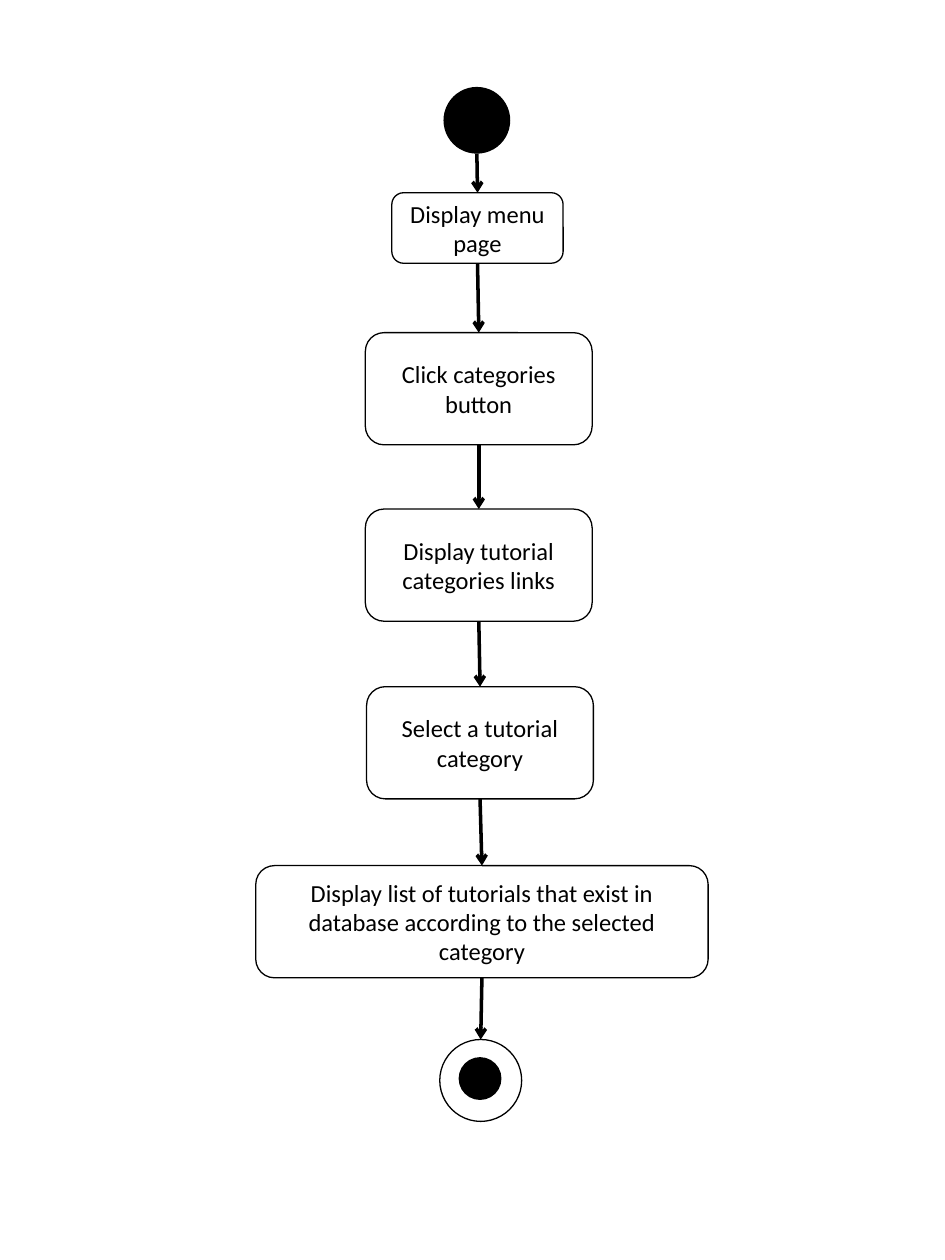
from lxml.etree import SubElement
from pptx import Presentation
from pptx.dml.color import RGBColor
from pptx.enum.shapes import MSO_CONNECTOR, MSO_SHAPE
from pptx.enum.text import MSO_ANCHOR, PP_ALIGN
from pptx.oxml.ns import qn
from pptx.util import Inches, Pt

BLACK = RGBColor(0x00, 0x00, 0x00)
WHITE = RGBColor(0xFF, 0xFF, 0xFF)
FONT = "Calibri"

# Content: activity text, left, top, width, height
STEPS = [
    ("Display menu page", 3.11, 1.53, 1.36, 0.56),
    ("Click categories button", 2.9, 2.64, 1.8, 0.89),
    ("Display tutorial categories links", 2.9, 4.04, 1.8, 0.89),
    ("Select a tutorial category", 2.91, 5.45, 1.8, 0.89),
    ("Display list of tutorials that exist in database according to the "
     "selected category", 2.03, 6.87, 3.59, 0.89),
]
# Circles: left, top, diameter
START = (3.52, 0.69, 0.53)
END_RING = (3.49, 8.25, 0.65)
END_DOT = (3.64, 8.39, 0.34)


def add_node(s, kind, left, top, width, height, fill, outlined):
    sp = s.shapes.add_shape(kind, Inches(left), Inches(top),
                            Inches(width), Inches(height))
    sp.shadow.inherit = False
    sp.fill.solid()
    sp.fill.fore_color.rgb = fill
    if outlined:
        sp.line.color.rgb = BLACK
        sp.line.width = Pt(0.75)
    else:
        sp.line.fill.background()
    return sp


def add_circle(s, left, top, size, fill, outlined=False):
    return add_node(s, MSO_SHAPE.OVAL, left, top, size, size, fill, outlined)


def add_step(s, text, left, top, width, height):
    sp = add_node(s, MSO_SHAPE.ROUNDED_RECTANGLE, left, top, width, height,
                  WHITE, True)
    tf = sp.text_frame
    tf.word_wrap = True
    tf.vertical_anchor = MSO_ANCHOR.MIDDLE
    p = tf.paragraphs[0]
    p.alignment = PP_ALIGN.CENTER
    r = p.add_run()
    r.text = text
    r.font.name = FONT
    r.font.size = Pt(14)
    r.font.color.rgb = BLACK
    return sp


def add_arrow(s, upper, lower):
    cx = s.shapes.add_connector(
        MSO_CONNECTOR.STRAIGHT,
        upper.left + upper.width // 2, upper.top + upper.height,
        lower.left + lower.width // 2, lower.top)
    if upper.auto_shape_type == MSO_SHAPE.ROUNDED_RECTANGLE:
        cx.begin_connect(upper, 2)
    cx.end_connect(lower, 0)
    cx.line.color.rgb = BLACK
    cx.line.width = Pt(2)
    SubElement(cx.line._get_or_add_ln(), qn("a:tailEnd"), type="arrow")
    SubElement(cx._element.spPr, qn("a:effectLst"))


def main():
    prs = Presentation()
    prs.slide_width, prs.slide_height = Inches(7.5), Inches(10)
    s = prs.slides.add_slide(prs.slide_layouts[6])

    # Start, activities and end, from top to bottom
    nodes = [add_circle(s, *START, BLACK)]
    nodes += [add_step(s, *step) for step in STEPS]
    nodes.append(add_circle(s, *END_RING, WHITE, outlined=True))
    add_circle(s, *END_DOT, BLACK)

    # Arrows between neighbours
    for upper, lower in zip(nodes, nodes[1:]):
        add_arrow(s, upper, lower)

    prs.save("out.pptx")


if __name__ == "__main__":
    main()
